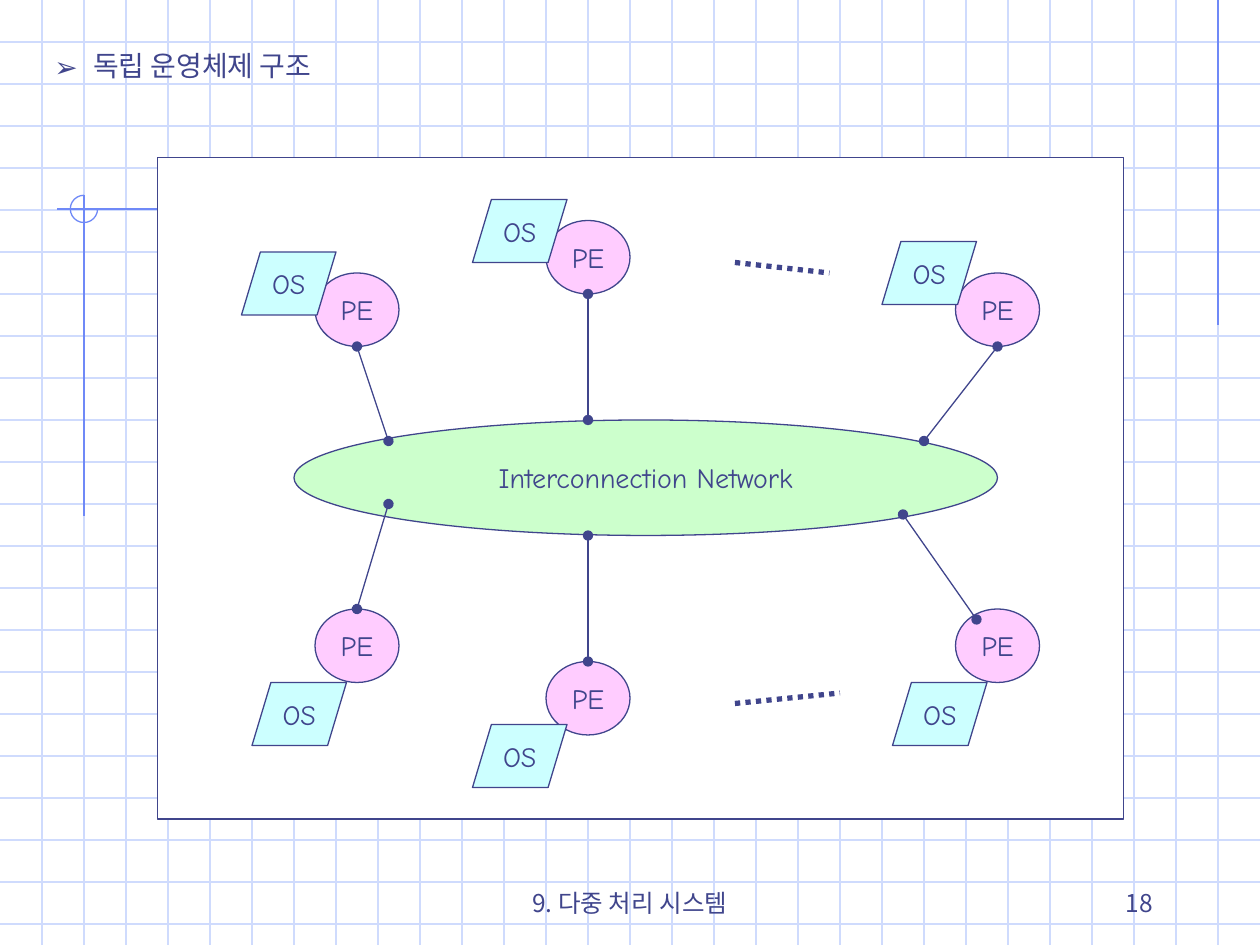
import pptx
import pptx.dml.color
import pptx.enum.dml
import pptx.enum.shapes
import pptx.enum.text
import pptx.oxml
import pptx.oxml.ns
import pptx.util

PX = 7620
WIDE, HIGH = 1200, 900
INK = {
    "grid": "CFDBFD",
    "mark": "6F89F7",
    "dark": "40458C",
    "white": "FFFFFF",
    "net": "CCFFCC",
    "pe": "FFCCFF",
    "os": "CCFFFF",
}
KIND = pptx.enum.shapes.MSO_SHAPE
ALIGN = pptx.enum.text.PP_ALIGN
ANCHOR = pptx.enum.text.MSO_ANCHOR
LATIN, HANGUL = "Comic Neue", "Noto Sans CJK KR"


def emu(*nums):
    return [pptx.util.Emu(num * PX) for num in nums]


def color(name):
    return pptx.dml.color.RGBColor.from_string(INK[name])


def node(host, tag, **attrs):
    item = pptx.oxml.parse_xml(f"<a:{tag} {pptx.oxml.ns.nsdecls('a')}/>")
    for key, value in attrs.items():
        item.set(key, value)
    host.append(item)


def write(frame, text, size=16, font=LATIN, align=ALIGN.LEFT,
          anchor=ANCHOR.TOP, wrap=True, bullet=None):
    frame.word_wrap = wrap
    frame.vertical_anchor = anchor
    par = frame.paragraphs[0]
    par.alignment = align
    if bullet:
        props = par._p.get_or_add_pPr()
        props.set("marL", str(37 * PX))
        props.set("indent", str(-37 * PX))
        node(props, "buClr")
        node(props[-1], "srgbClr", val=INK["dark"])
        node(props, "buFont", typeface=HANGUL)
        node(props, "buChar", char=bullet)
    run = par.add_run()
    run.text = text
    run.font.size = pptx.util.Pt(size)
    run.font.color.rgb = color("dark")
    run.font.name = font
    node(run._r.get_or_add_rPr(), "ea", typeface=HANGUL)


def label(slide, box, text, **style):
    write(slide.shapes.add_textbox(*emu(*box)).text_frame, text, **style)


def shape(slide, kind, box, fill=None, line="dark", text=None):
    item = slide.shapes.add_shape(kind, *emu(*box))
    item.shadow.inherit = False
    if fill:
        item.fill.solid()
        item.fill.fore_color.rgb = color(fill)
    else:
        item.fill.background()
    item.line.color.rgb = color(line)
    item.line.width = pptx.util.Pt(0.75)
    if text:
        write(item.text_frame, text, align=ALIGN.CENTER,
              anchor=ANCHOR.MIDDLE, wrap=False)
    return item


def link(slide, ends, ink="dark", width=0.75, dots=False, ovals=False):
    item = slide.shapes.add_connector(
        pptx.enum.shapes.MSO_CONNECTOR.STRAIGHT, *emu(*ends))
    item.line.color.rgb = color(ink)
    item.line.width = pptx.util.Pt(width)
    if dots:
        item.line.dash_style = pptx.enum.dml.MSO_LINE.ROUND_DOT
        item.line._ln.prstDash.set("val", "sysDot")
    if ovals:
        for tag in ("headEnd", "tailEnd"):
            node(item.line._ln, tag, type="oval")
    node(item._element.spPr, "effectLst")


def grid(slide, box, step=40):
    left, top, wide, high = box
    for y in range(top + step, top + high, step):
        link(slide, (left, y, left + wide, y), "grid")
    for x in range(left + step, left + wide, step):
        link(slide, (x, top, x, top + high), "grid")


def marks(slide, box):
    left, top, wide, high = box
    link(slide, (left + wide - 40, top, left + wide - 40, top + 310), "mark")
    link(slide, (left + 288, top + 199, left + 54, top + 199), "mark")
    link(slide, (left + 80, top + 186, left + 80, top + 491), "mark")
    arc = shape(slide, KIND.ARC, (left + 67, top + 186, 26, 26), line="mark")
    arc.adjustments[0] = 0
    arc.adjustments[1] = 162


def system(slide, box):
    left, top, wide, high = box
    shape(slide, KIND.RECTANGLE, box, "white")
    shape(slide, KIND.OVAL, (left + 130, top + 250, 670, 110), "net",
          text="Interconnection Network")
    units = [
        ((150, 110), (-70, -20), (40, 70), (220, 270)),
        ((370, 60), (-70, -20), (40, 70), (410, 250)),
        ((760, 110), (-70, -30), (40, 70), (730, 270)),
        ((150, 430), (-60, 70), (40, 0), (220, 330)),
        ((370, 480), (-70, 60), (40, 0), (410, 360)),
        ((760, 430), (-60, 70), (20, 10), (710, 340)),
    ]
    for (x, y), (across, down), port, hub in units:
        x, y = left + x, top + y
        shape(slide, KIND.OVAL, (x, y, 80, 70), "pe", text="PE")
        shape(slide, KIND.FLOWCHART_DATA, (x + across, y + down, 90, 60),
              "os", text="OS")
        link(slide, (x + port[0], y + port[1], left + hub[0], top + hub[1]),
             ovals=True)
    for x, y, end, stop in ((550, 100, 640, 110), (550, 520, 650, 510)):
        link(slide, (left + x, top + y, left + end, top + stop),
             width=3, dots=True)


def footer(slide, box):
    left, top, wide, high = box
    style = dict(size=14, font=HANGUL, anchor=ANCHOR.BOTTOM)
    label(slide, (left, top, 380, high), "9. 다중 처리 시스템",
          align=ALIGN.CENTER, **style)
    label(slide, (left + wide - 250, top, 250, high), "18",
          align=ALIGN.RIGHT, **style)


def main():
    deck = pptx.Presentation()
    deck.slide_width, deck.slide_height = emu(WIDE, HIGH)
    slide = deck.slides.add_slide(deck.slide_layouts[6])
    grid(slide, (0, 0, WIDE, HIGH))
    marks(slide, (0, 0, WIDE, HIGH))
    system(slide, (150, 150, 920, 630))
    label(slide, (40, 40, 1120, 44), "독립 운영체제 구조", bullet="➢")
    footer(slide, (410, 820, 700, 60))
    deck.save("out.pptx")


if __name__ == "__main__":
    main()
